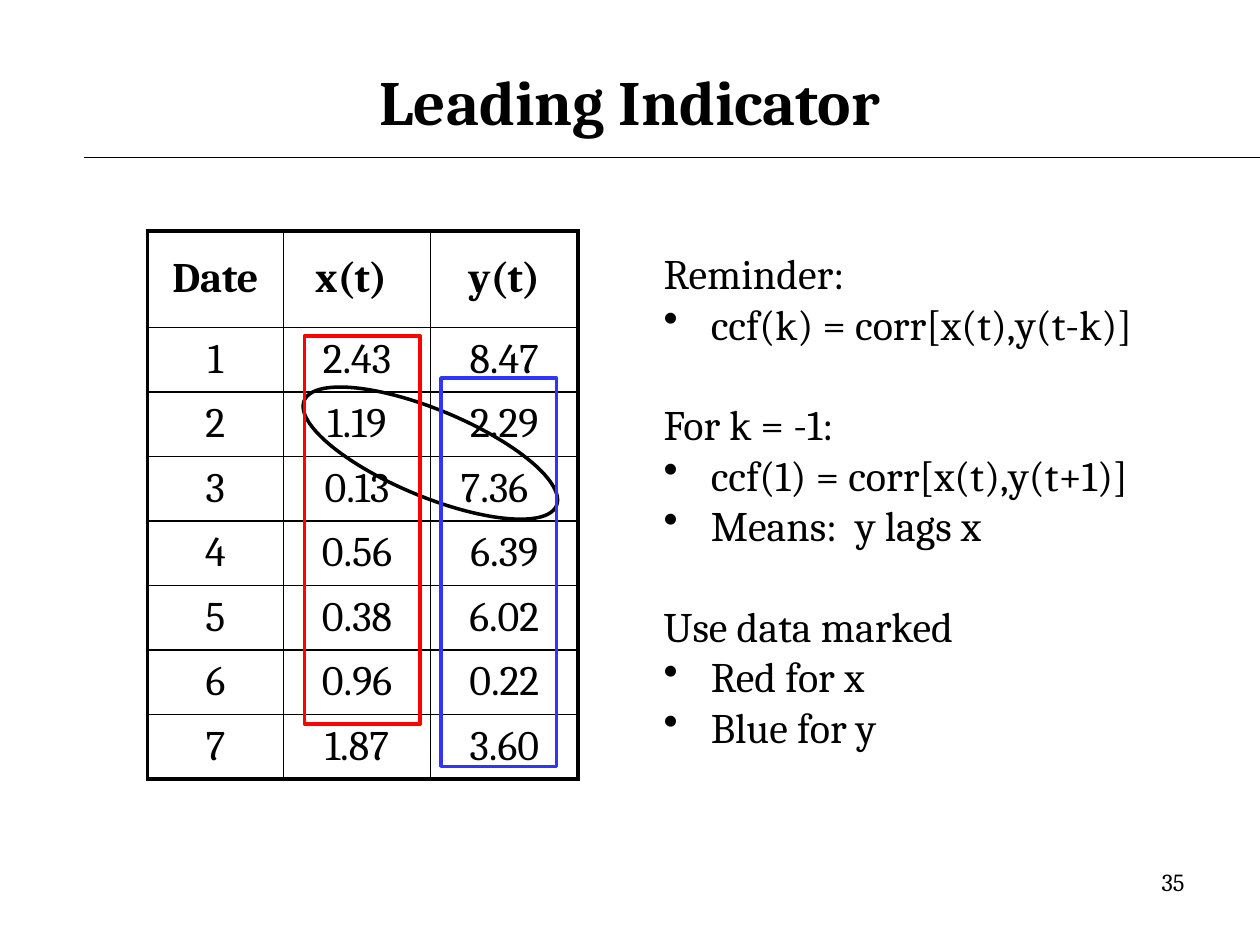
from lxml import etree
from pptx import Presentation
from pptx.dml.color import RGBColor
from pptx.enum.shapes import MSO_CONNECTOR, MSO_SHAPE
from pptx.enum.text import MSO_ANCHOR, PP_ALIGN
from pptx.oxml.ns import qn
from pptx.util import Cm, Pt

STRAIGHT = MSO_CONNECTOR.STRAIGHT
RECTANGLE, OVAL = MSO_SHAPE.RECTANGLE, MSO_SHAPE.OVAL
MIDDLE = MSO_ANCHOR.MIDDLE
CENTER, RIGHT = PP_ALIGN.CENTER, PP_ALIGN.RIGHT
COLORS = {"black": "000000", "red": "FF0000", "blue": "3333FF"}


def set_font(paragraph, size, bold=False):
    font = paragraph.font
    font.name, font.size, font.bold = "Cambria", Pt(size), bold
    font.color.rgb = RGBColor.from_string(COLORS["black"])


def add_border(cell, side, width):
    """Draw one edge of a table cell; side is L, R, T or B."""
    line = etree.SubElement(cell._tc.get_or_add_tcPr(), qn(f"a:ln{side}"), w=str(Pt(width)))
    fill = etree.SubElement(line, qn("a:solidFill"))
    etree.SubElement(fill, qn("a:srgbClr"), val=COLORS["black"])


deck = Presentation()
deck.slide_width, deck.slide_height = Cm(25.4), Cm(19.05)
page = deck.slides.add_slide(deck.slide_layouts[5])

# Title and rule
title = page.shapes.title
title.left, title.top, title.width, title.height = Cm(1.27), Cm(0.85), Cm(22.86), Cm(2.33)
title.text_frame.text = "Leading Indicator"
title.text_frame.vertical_anchor = MIDDLE
title.text_frame.paragraphs[0].alignment = CENTER
set_font(title.text_frame.paragraphs[0], 36, bold=True)

rule = page.shapes.add_connector(STRAIGHT, Cm(1.69), Cm(3.17), Cm(25.4), Cm(3.17))
rule.line.width = Pt(0.75)
rule.line.color.rgb = RGBColor.from_string(COLORS["black"])
etree.SubElement(rule._element.spPr, qn("a:effectLst"))

# Explanation
box = page.shapes.add_textbox(Cm(13.13), Cm(4.87), Cm(10.16), Cm(10.59))
frame = box.text_frame
frame.word_wrap = True
sections = [
    ("Reminder:", ["ccf(k) = corr[x(t),y(t-k)]"]),
    ("For k = -1:", ["ccf(1) = corr[x(t),y(t+1)]", "Means:  y lags x"]),
    ("Use data marked", ["Red for x", "Blue for y"]),
]
for number, (heading, points) in enumerate(sections):
    for index, text in enumerate([heading] + points):
        first = number == 0 and index == 0
        paragraph = frame.paragraphs[0] if first else frame.add_paragraph()
        paragraph.text = text
        properties = paragraph._p.get_or_add_pPr()
        properties.set("marL", str(Cm(0.95)))
        properties.set("indent", str(Cm(-0.95)))
        if index > 0:
            etree.SubElement(properties, qn("a:buChar"), char="•")
        elif number > 0:
            paragraph.space_before = Pt(28.8)
        set_font(paragraph, 24)

# Data table
rows = [
    ("Date", "x(t)", "y(t)"),
    ("1", "2.43", "8.47"),
    ("2", "1.19", "2.29"),
    ("3", "0.13", "7.36"),
    ("4", "0.56", "6.39"),
    ("5", "0.38", "6.02"),
    ("6", "0.96", "0.22"),
    ("7", "1.87", "3.60"),
]
right_margins = {"x(t)": 0.48, "7.36": 0.65}
last_row, last_column = len(rows) - 1, len(rows[0]) - 1
table = page.shapes.add_table(
    len(rows), len(rows[0]), Cm(2.97), Cm(4.66), Cm(8.68), Cm(11.04)).table
for column, width in zip(table.columns, (2.74, 2.97, 2.97)):
    column.width = Cm(width)
for row_index, values in enumerate(rows):
    table.rows[row_index].height = Cm(1.3 if row_index else 1.94)
    for column_index, value in enumerate(values):
        cell = table.cell(row_index, column_index)
        cell.text = value
        cell.vertical_anchor = MIDDLE
        cell.margin_right = Cm(right_margins.get(value, 0.25))
        paragraph = cell.text_frame.paragraphs[0]
        paragraph.alignment = CENTER
        set_font(paragraph, 24, bold=row_index == 0)
        outer_edges = {
            "L": column_index == 0,
            "R": column_index == last_column,
            "T": row_index == 0,
            "B": row_index == last_row,
        }
        for side, outer in outer_edges.items():
            add_border(cell, side, 2.25 if outer else 1)
        cell.fill.background()

# Marks over the data
marks = [
    (OVAL, 5.92, 8.26, 5.51, 1.75, 22.6, "black"),
    (RECTANGLE, 6.14, 6.77, 2.33, 7.83, 0, "red"),
    (RECTANGLE, 8.89, 7.62, 2.33, 7.83, 0, "blue"),
]
for kind, left, top, width, height, angle, color in marks:
    mark = page.shapes.add_shape(kind, Cm(left), Cm(top), Cm(width), Cm(height))
    mark.rotation = angle
    mark.shadow.inherit = False
    mark.fill.background()
    mark.line.width = Pt(2)
    mark.line.color.rgb = RGBColor.from_string(COLORS[color])

# Page number
number_box = page.shapes.add_textbox(Cm(18.2), Cm(17.36), Cm(5.93), Cm(1.32))
number_box.text_frame.word_wrap = True
paragraph = number_box.text_frame.paragraphs[0]
paragraph.text = "35"
paragraph.alignment = RIGHT
set_font(paragraph, 14)

deck.save("out.pptx")
